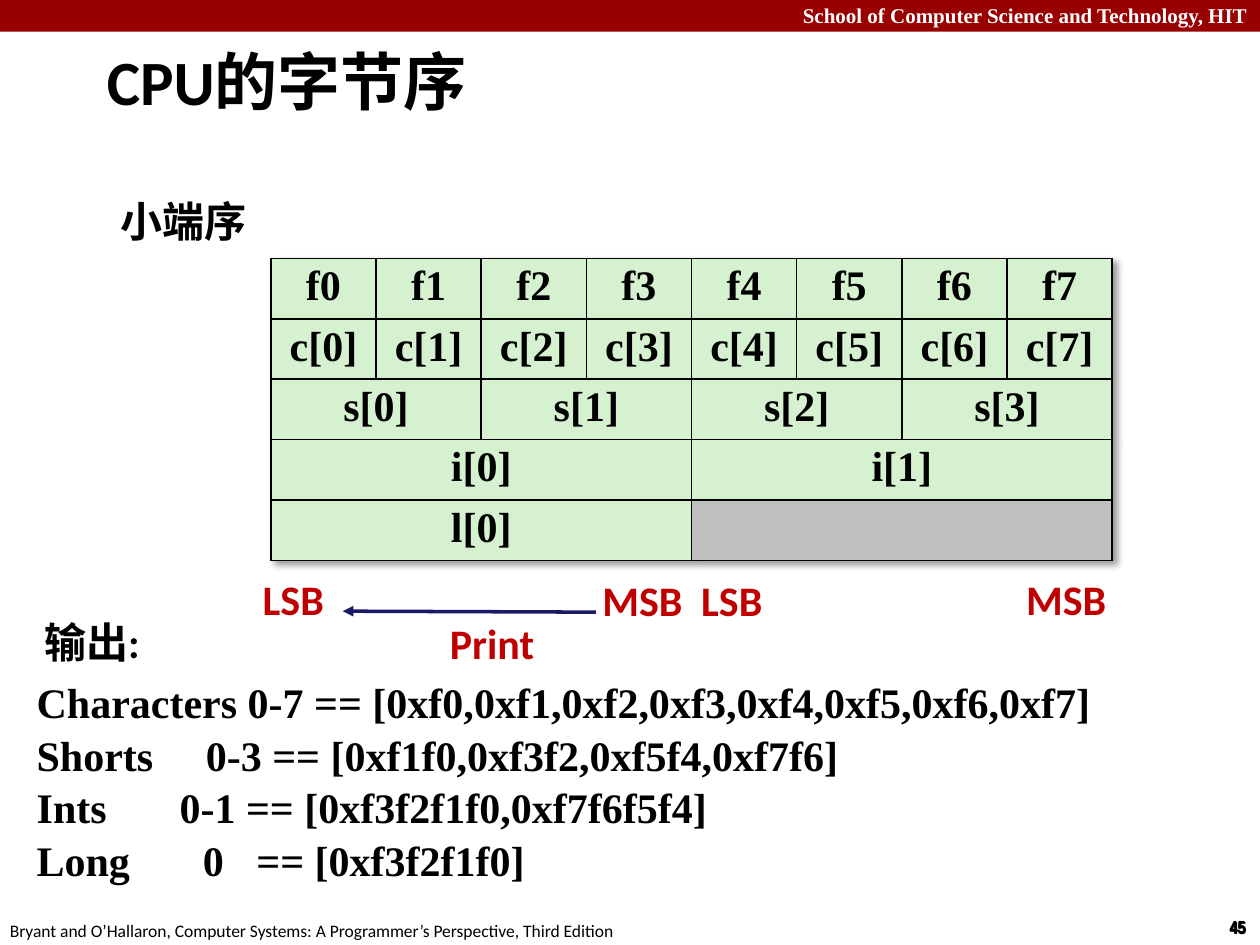
"""Build the slide on CPU little-endian byte order."""
from lxml.etree import SubElement
from pptx import Presentation
from pptx.dml.color import RGBColor
from pptx.enum.shapes import MSO_CONNECTOR, MSO_SHAPE
from pptx.enum.text import MSO_ANCHOR, MSO_AUTO_SIZE, PP_ALIGN
from pptx.oxml import parse_xml
from pptx.oxml.ns import nsdecls, qn
from pptx.util import Cm, Pt

SERIF, SANS, NARROW = "Times New Roman", "Calibri", "Arial Narrow"
GREEN, GRAY, RED, NAVY, MAROON = "D5F1CF", "BFBFBF", "C00000", "191966", "990000"

TITLE = "CPU的字节序"
HEADER = "School of Computer Science and Technology, HIT"
FOOTER = "Bryant and O’Hallaron, Computer Systems: A Programmer’s Perspective, Third Edition"
PAGE_NUMBER = "45"
NUMBER_PLACES = [(24.54, 18.36), (24.54, 18.34), (24.56, 18.36)]
HEADINGS = [("小端序", 2.34, 3.84, 6.2), ("输出:", 0.79, 12.32, 10.19)]
ROWS = [
    [f"f{index}" for index in range(8)],
    [f"c[{index}]" for index in range(8)],
    [f"s[{index}]" for index in range(4)],
    ["i[0]", "i[1]"],
    ["l[0]", ""],
]
BYTE_LABELS = [
    ("LSB", 5.16, 11.46, 1.47, PP_ALIGN.RIGHT),
    ("MSB", 12.01, 11.48, 1.85, PP_ALIGN.RIGHT),
    ("LSB", 14, 11.48, 1.47, PP_ALIGN.RIGHT),
    ("MSB", 20.55, 11.46, 1.85, PP_ALIGN.RIGHT),
    ("Print", 8.97, 12.34, 1.93, PP_ALIGN.LEFT),
]
OUTPUT = [
    ("Characters 0-7 == [0xf0,0xf1,0xf2,0xf3,0xf4,0xf5,0xf6,0xf7]", []),
    ("Shorts\t0-3 == [0xf1f0,0xf3f2,0xf5f4,0xf7f6]", [3.41]),
    ("Ints\t0-1 == [0xf3f2f1f0,0xf7f6f5f4]", [2.88]),
    ("Long\t0\t== [0xf3f2f1f0]", [3.35, 4.43]),
]
COLUMNS, COLUMN_WIDTH, ROW_HEIGHT = 8, 2.12, 1.19
TABLE_LEFT, TABLE_TOP = 5.46, 5.21


def color(value):
    return RGBColor.from_string(value)


def write(para, text, *, size=24, font=SANS, ink="000000", bold=True,
          align=PP_ALIGN.LEFT, tabs=(), after=0):
    para.alignment = align
    para.space_after = Pt(after)
    if tabs:
        tab_list = SubElement(para._p.get_or_add_pPr(), qn("a:tabLst"))
        for stop in tabs:
            SubElement(tab_list, qn("a:tab"), pos=str(Cm(stop)), algn="l")
    span = para.add_run()
    span.text = text
    span.font.size = Pt(size)
    span.font.name = font
    span.font.bold = bold
    span.font.color.rgb = color(ink)


def add_box(page, left, top, width, height, *, wrap=True, inset=0.1):
    frame = page.shapes.add_textbox(Cm(left), Cm(top), Cm(width), Cm(height)).text_frame
    frame.word_wrap = wrap
    if inset is not None:
        frame.margin_left = frame.margin_right = Cm(inset)
        frame.margin_top = frame.margin_bottom = Cm(inset)
    return frame


def add_frame(page):
    band = page.shapes.add_shape(MSO_SHAPE.RECTANGLE, 0, 0, Cm(25.4), Cm(0.64))
    band.shadow.inherit = False
    band.fill.solid()
    band.fill.fore_color.rgb = color(MAROON)
    band.line.fill.background()
    frame = add_box(page, 0, -0.08, 25.4, 0.76, inset=None)
    write(frame.paragraphs[0], HEADER, size=12, font=SERIF, ink="FFFFFF",
          align=PP_ALIGN.RIGHT)
    for left, top in NUMBER_PLACES:
        frame = add_box(page, left, top, 0.86, 0.69, wrap=False, inset=None)
        write(frame.paragraphs[0], PAGE_NUMBER, size=10, font=NARROW)
    frame = add_box(page, -0.05, 18.42, 12.9, 0.69, wrap=False, inset=None)
    write(frame.paragraphs[0], FOOTER, size=10, bold=False)


def add_title(page):
    title = page.shapes.title
    title.left, title.top, title.width, title.height = Cm(1.9), 0, Cm(17.42), Cm(3.23)
    title.text_frame.vertical_anchor = MSO_ANCHOR.MIDDLE
    title.text_frame.auto_size = MSO_AUTO_SIZE.NONE
    write(title.text_frame.paragraphs[0], TITLE, size=36)


def border(cell):
    properties = cell._tc.get_or_add_tcPr()
    for position, side in enumerate(("lnL", "lnR", "lnT", "lnB")):
        properties.insert(position, parse_xml(
            f'<a:{side} {nsdecls("a")} w="{Pt(1)}"><a:solidFill>'
            f'<a:srgbClr val="000000"/></a:solidFill></a:{side}>'))


def add_byte_table(page):
    table = page.shapes.add_table(
        len(ROWS), COLUMNS, Cm(TABLE_LEFT), Cm(TABLE_TOP),
        Cm(COLUMNS * COLUMN_WIDTH), Cm(len(ROWS) * ROW_HEIGHT)).table
    table.first_row = table.horz_banding = False
    table._tbl.tblPr.insert(0, parse_xml(
        f'<a:effectLst {nsdecls("a")}><a:outerShdw blurRad="50800" dist="38100" '
        'dir="2700000" algn="tl"><a:srgbClr val="000000"><a:alpha val="40000"/>'
        '</a:srgbClr></a:outerShdw></a:effectLst>'))
    for column in table.columns:
        column.width = Cm(COLUMN_WIDTH)
    for row, names in enumerate(ROWS):
        table.rows[row].height = Cm(ROW_HEIGHT)
        step = COLUMNS // len(names)
        for cell in table.rows[row].cells:
            border(cell)
            cell.margin_top = cell.margin_bottom = Cm(0.1)
        for index, name in enumerate(names):
            cell = table.cell(row, index * step)
            if step > 1:
                cell.merge(table.cell(row, (index + 1) * step - 1))
            cell.fill.solid()
            cell.fill.fore_color.rgb = color(GREEN if name else GRAY)
            if name:
                write(cell.text_frame.paragraphs[0], name, font=SERIF,
                      align=PP_ALIGN.CENTER)


def add_print_arrow(page):
    arrow = page.shapes.add_connector(
        MSO_CONNECTOR.STRAIGHT, Cm(6.91), Cm(12.32), Cm(12.01), Cm(12.34))
    arrow.line.color.rgb = color(NAVY)
    arrow.line.width = Pt(2)
    SubElement(arrow.line._get_or_add_ln(), qn("a:headEnd"), type="triangle")
    SubElement(arrow._element.spPr, qn("a:effectLst"))


def main():
    deck = Presentation()
    deck.slide_width, deck.slide_height = Cm(25.4), Cm(19.05)
    page = deck.slides.add_slide(deck.slide_layouts[5])
    add_frame(page)
    add_title(page)
    for text, left, top, width in HEADINGS:
        write(add_box(page, left, top, width, 1.24).paragraphs[0], text)
    frame = add_box(page, 0.64, 13.54, 23.5, 4.01)
    for index, (text, tabs) in enumerate(OUTPUT):
        para = frame.add_paragraph() if index else frame.paragraphs[0]
        write(para, text, font=SERIF, tabs=tabs, after=1.2)
    add_byte_table(page)
    for text, left, top, width, align in BYTE_LABELS:
        frame = add_box(page, left, top, width, 1.24, wrap=False)
        write(frame.paragraphs[0], text, ink=RED, align=align)
    add_print_arrow(page)
    deck.save("out.pptx")


if __name__ == "__main__":
    main()
